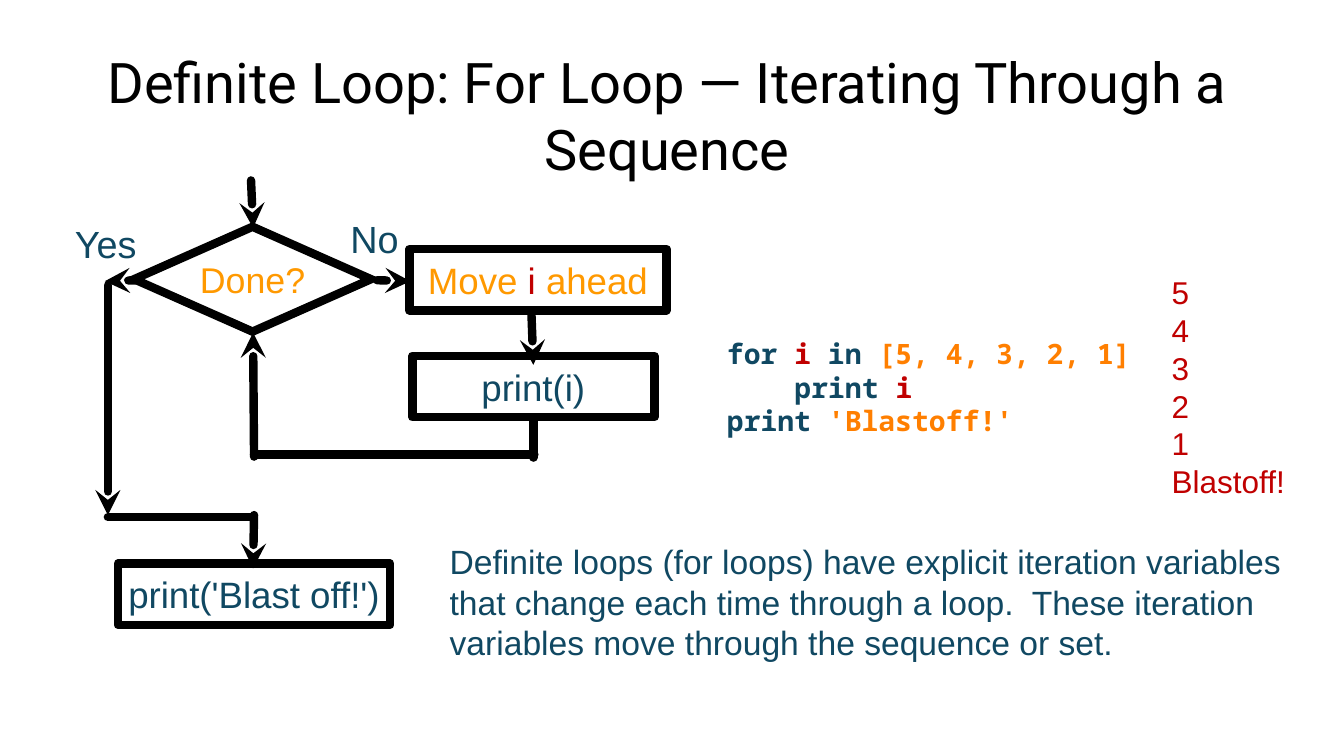
"""Build a slide on the for loop: flowchart, code, output and summary."""
import pptx
import pptx.util
import pptx.dml.color
import pptx.enum.shapes
import pptx.enum.text
import pptx.oxml
import pptx.oxml.ns

Inches = pptx.util.Inches
Pt = pptx.util.Pt
KIND = pptx.enum.shapes.MSO_SHAPE
ALIGN = pptx.enum.text.PP_ALIGN

COLORS = {"ink": "000000", "navy": "104862", "red": "C00000",
          "gold": "FF9900", "code": "FF7F00"}
STROKE = 6

TITLE = "Definite Loop: For Loop — Iterating Through a Sequence"
CODE = [
    (0, [("for ", "navy"), ("i ", "red"), ("in ", "navy"), ("[5, 4, 3, 2, 1]", "code")]),
    (0.67, [("print ", "navy"), ("i", "red")]),
    (0, [("print ", "navy"), ("'Blastoff!'", "code")]),
]
OUTPUT = ["5", "4", "3", "2", "1", "Blastoff!"]
SUMMARY = ("Definite loops (for loops) have explicit iteration variables that change "
           "each time through a loop.  These iteration variables move through the "
           "sequence or set.")

NODES = [
    (KIND.DIAMOND, (1.33, 2.25, 2.35, 1.04), 25.5, [("Done?", "gold")]),
    (KIND.RECTANGLE, (4.06, 2.47, 2.55, 0.61), 26.2,
     [("Move ", "gold"), ("i ", "red"), ("ahead", "gold")]),
    (KIND.RECTANGLE, (4.09, 3.53, 2.4, 0.61), 26.2, [("print(i)", "navy")]),
    (KIND.RECTANGLE, (1.17, 5.59, 2.7, 0.61), 26.2, [("print('Blast off!')", "navy")]),
]
LABELS = [
    ("Yes", (0.57, 2.16, 0.96, 0.51)),
    ("No", (3.42, 2.11, 0.59, 0.51)),
]
ARROWS = [
    ((2.49, 1.79), (2.51, 2.26)),
    ((3.74, 2.78), (4.07, 2.79)),
    ((5.27, 3.08), (5.29, 3.62)),
    ((2.52, 4.53), (2.51, 3.3)),
    ((1.37, 2.78), (1.04, 2.79)),
    ((1.07, 2.83), (1.07, 5.11)),
    ((2.52, 5.11), (2.51, 5.64)),
]
LINES = [
    ((5.29, 4.14), (5.29, 4.54)),
    ((2.52, 4.51), (5.3, 4.51)),
    ((1.07, 5.13), (2.5, 5.13)),
]


def paint(name):
    return pptx.dml.color.RGBColor.from_string(COLORS[name])


def add_tag(parent, tag, **attrs):
    node = pptx.oxml.parse_xml(f"<a:{tag} {pptx.oxml.ns.nsdecls('a')}/>")
    for key, value in attrs.items():
        node.set(key, value)
    parent.append(node)


def write(shape, rows, size, font="Arial", align=ALIGN.LEFT, bold=False, inset=0):
    """Fill a shape with rows of (indent, runs)."""
    frame = shape.text_frame
    frame.word_wrap = True
    frame.auto_size = pptx.enum.text.MSO_AUTO_SIZE.NONE
    frame.vertical_anchor = pptx.enum.text.MSO_ANCHOR.MIDDLE
    frame.margin_left = frame.margin_right = Inches(inset)
    frame.margin_top = frame.margin_bottom = Inches(inset)
    for index, (indent, runs) in enumerate(rows):
        para = frame.add_paragraph() if index else frame.paragraphs[0]
        para.alignment = align
        if indent:
            para._p.get_or_add_pPr().set("marL", str(Inches(indent)))
        for text, color in runs:
            run = para.add_run()
            run.text = text
            run.font.name = font
            run.font.size = Pt(size)
            run.font.bold = bold
            run.font.color.rgb = paint(color)


def add_text(slide, box, rows, size, **style):
    shape = slide.shapes.add_textbox(*map(Inches, box))
    write(shape, rows, size, **style)


def add_node(slide, kind, box, size, runs):
    shape = slide.shapes.add_shape(kind, *map(Inches, box))
    shape.shadow.inherit = False
    shape.fill.background()
    shape.line.color.rgb = paint("ink")
    shape.line.width = Pt(STROKE)
    add_tag(shape.line._ln, "miter" if kind == KIND.DIAMOND else "round")
    write(shape, [(0, runs)], size, align=ALIGN.CENTER)


def add_line(slide, start, end, arrow):
    link = slide.shapes.add_connector(
        pptx.enum.shapes.MSO_CONNECTOR.STRAIGHT, *map(Inches, start + end))
    link.line.color.rgb = paint("ink")
    link.line.width = Pt(STROKE)
    edge = link.line._ln
    edge.set("cap", "rnd")
    add_tag(edge, "round")
    if arrow:
        add_tag(edge, "tailEnd", type="stealth")
    add_tag(link._element.spPr, "effectLst")


def main():
    deck = pptx.Presentation()
    deck.slide_width, deck.slide_height = Inches(13.33), Inches(7.5)
    slide = deck.slides.add_slide(deck.slide_layouts[5])

    title = slide.shapes.title
    title.left, title.top, title.width, title.height = map(
        Inches, (0.26, 0.67, 12.71, 0.93))
    write(title, [(0, [(TITLE, "ink")])], 40, font="Roboto",
          align=ALIGN.CENTER, inset=0.03)

    add_text(slide, (7.21, 2.89, 5.22, 1.9), CODE, 20, font="Noto Sans Mono", bold=True)
    add_text(slide, (11.62, 2.51, 1.36, 2.65),
             [(0, [(text, "red")]) for text in OUTPUT], 22.5)
    add_text(slide, (4.46, 5.29, 8.31, 1.36), [(0, [(SUMMARY, "navy")])], 24)

    for node in NODES:
        add_node(slide, *node)
    for text, box in LABELS:
        add_text(slide, box, [(0, [(text, "navy")])], 27, align=ALIGN.CENTER)
    for links, arrow in ((ARROWS, True), (LINES, False)):
        for start, end in links:
            add_line(slide, start, end, arrow)

    deck.save("out.pptx")


if __name__ == "__main__":
    main()
